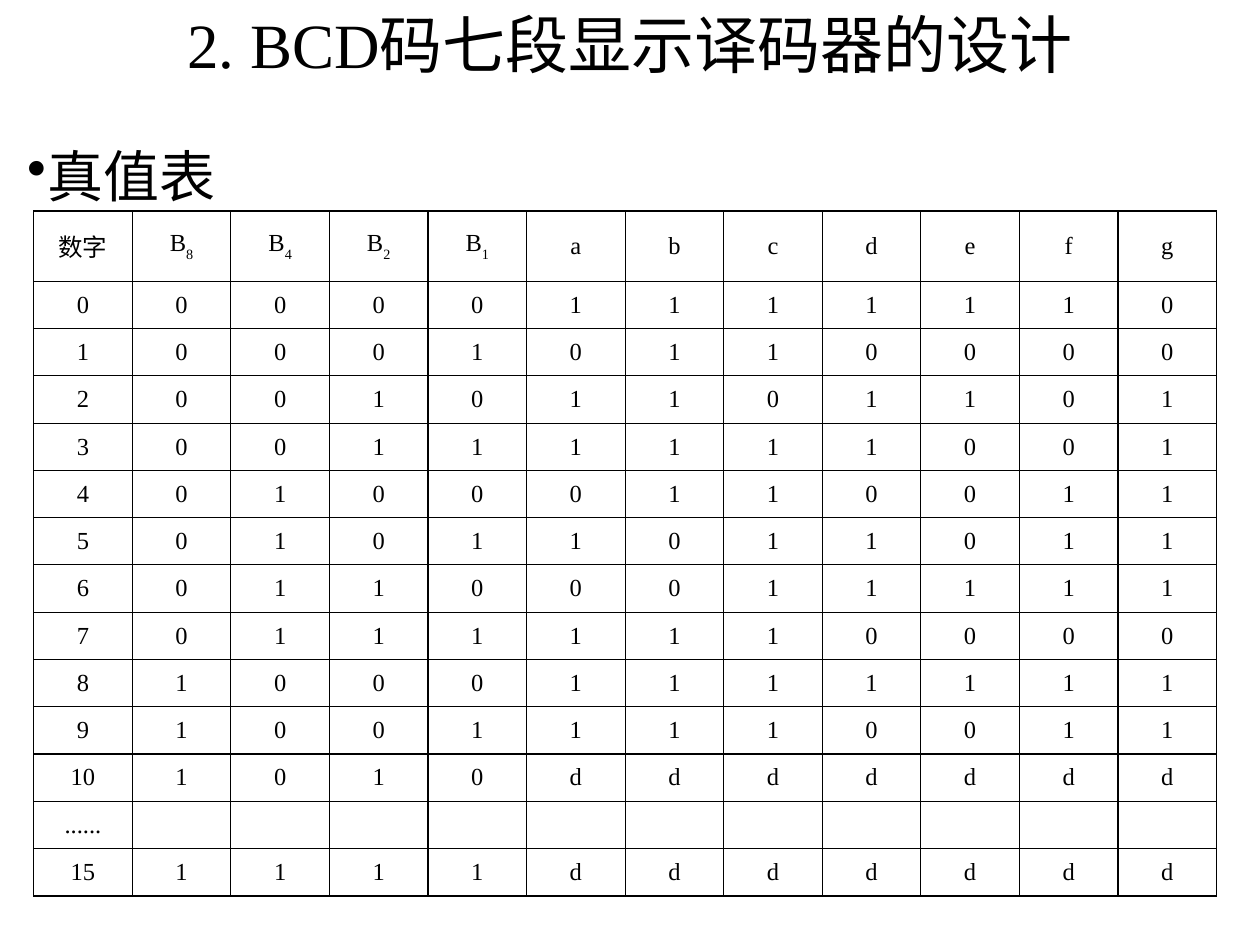
"""Build a slide with the truth table of a BCD seven-segment decoder."""
from lxml import etree
from pptx import Presentation
from pptx.dml.color import RGBColor
from pptx.enum import text
from pptx.oxml import ns
from pptx.util import Cm, Pt

TITLE = "2. BCD码七段显示译码器的设计"
HEADING = "真值表"
HEADER = ["数字", "B8", "B4", "B2", "B1", *"abcdefg"]
TRUTH = [
    ("0", "0000", "1111110"),
    ("1", "0001", "0110000"),
    ("2", "0010", "1101101"),
    ("3", "0011", "1111001"),
    ("4", "0100", "0110011"),
    ("5", "0101", "1011011"),
    ("6", "0110", "0011111"),
    ("7", "0111", "1110000"),
    ("8", "1000", "1111111"),
    ("9", "1001", "1110011"),
    ("10", "1010", "ddddddd"),
    ("......", "", ""),
    ("15", "1111", "ddddddd"),
]
FONT = "Times New Roman"
BLACK = RGBColor(0, 0, 0)
THIN, THICK = Pt(0.75), Pt(1)
LAST_INPUT = 4
TABLE_LEFT, TABLE_TOP = Cm(0.68), Cm(4.25)
TABLE_WIDTH, TABLE_HEIGHT = Cm(23.85), Cm(13.82)
HEADER_HEIGHT = Cm(1.42)


def add_span(para, content, size, subscript=False):
    span = para.add_run()
    span.text = content
    span.font.name = FONT
    span.font.size = Pt(size)
    span.font.color.rgb = BLACK
    if subscript:
        span._r.get_or_add_rPr().set("baseline", "-30000")


def add_text(page, left, top, width, height, content, size):
    box = page.shapes.add_textbox(Cm(left), Cm(top), Cm(width), Cm(height))
    box.text_frame.word_wrap = True
    para = box.text_frame.paragraphs[0]
    add_span(para, content, size)
    return box.text_frame, para


def add_bullet(para):
    properties = para._p.get_or_add_pPr()
    properties.set("marL", "0")
    properties.set("indent", "0")
    etree.SubElement(properties, ns.qn("a:buChar")).set("char", "•")


def add_border(cell, side, width):
    line = etree.SubElement(cell._tc.get_or_add_tcPr(), ns.qn(f"a:ln{side}"))
    line.set("w", str(width))
    fill = etree.SubElement(line, ns.qn("a:solidFill"))
    etree.SubElement(fill, ns.qn("a:srgbClr")).set("val", str(BLACK))


def style_cell(cell, row, column, last_row):
    cell.vertical_anchor = text.MSO_ANCHOR.MIDDLE
    cell.margin_top = cell.margin_bottom = Cm(0.05)
    thick = {
        "L": column == LAST_INPUT + 1,
        "R": column == LAST_INPUT,
        "T": row <= 1,
        "B": row in (0, last_row),
    }
    for side, is_thick in thick.items():
        add_border(cell, side, THICK if is_thick else THIN)
    cell.fill.background()


def fill_cell(cell, content):
    para = cell.text_frame.paragraphs[0]
    para.alignment = text.PP_ALIGN.CENTER
    if content.startswith("B"):
        add_span(para, content[0], 14)
        add_span(para, content[1:], 14, subscript=True)
    elif content:
        add_span(para, content, 14)


def add_truth_table(page):
    rows = [HEADER] + [
        [digit, *inputs.ljust(4), *outputs.ljust(7)] for digit, inputs, outputs in TRUTH
    ]
    table = page.shapes.add_table(
        len(rows), len(HEADER), TABLE_LEFT, TABLE_TOP, TABLE_WIDTH, TABLE_HEIGHT
    ).table
    table.first_row = table.horz_banding = False
    for column in table.columns:
        column.width = TABLE_WIDTH // len(HEADER)
    for index, values in enumerate(rows):
        body_height = (TABLE_HEIGHT - HEADER_HEIGHT) // len(TRUTH)
        table.rows[index].height = body_height if index else HEADER_HEIGHT
        for column, value in enumerate(values):
            cell = table.cell(index, column)
            style_cell(cell, index, column, len(TRUTH))
            fill_cell(cell, value.strip())


def main():
    deck = Presentation()
    deck.slide_width, deck.slide_height = Cm(25.4), Cm(19.05)
    page = deck.slides.add_slide(deck.slide_layouts[6])
    frame, para = add_text(page, 1.9, 0.46, 21.6, 0.84, TITLE, 36)
    frame.vertical_anchor = text.MSO_ANCHOR.MIDDLE
    para.alignment = text.PP_ALIGN.CENTER
    frame, para = add_text(page, 0.3, 2.72, 24.6, 15.4, HEADING, 32)
    para.space_before = Pt(6.4)
    add_bullet(para)
    add_truth_table(page)
    deck.save("out.pptx")


if __name__ == "__main__":
    main()
